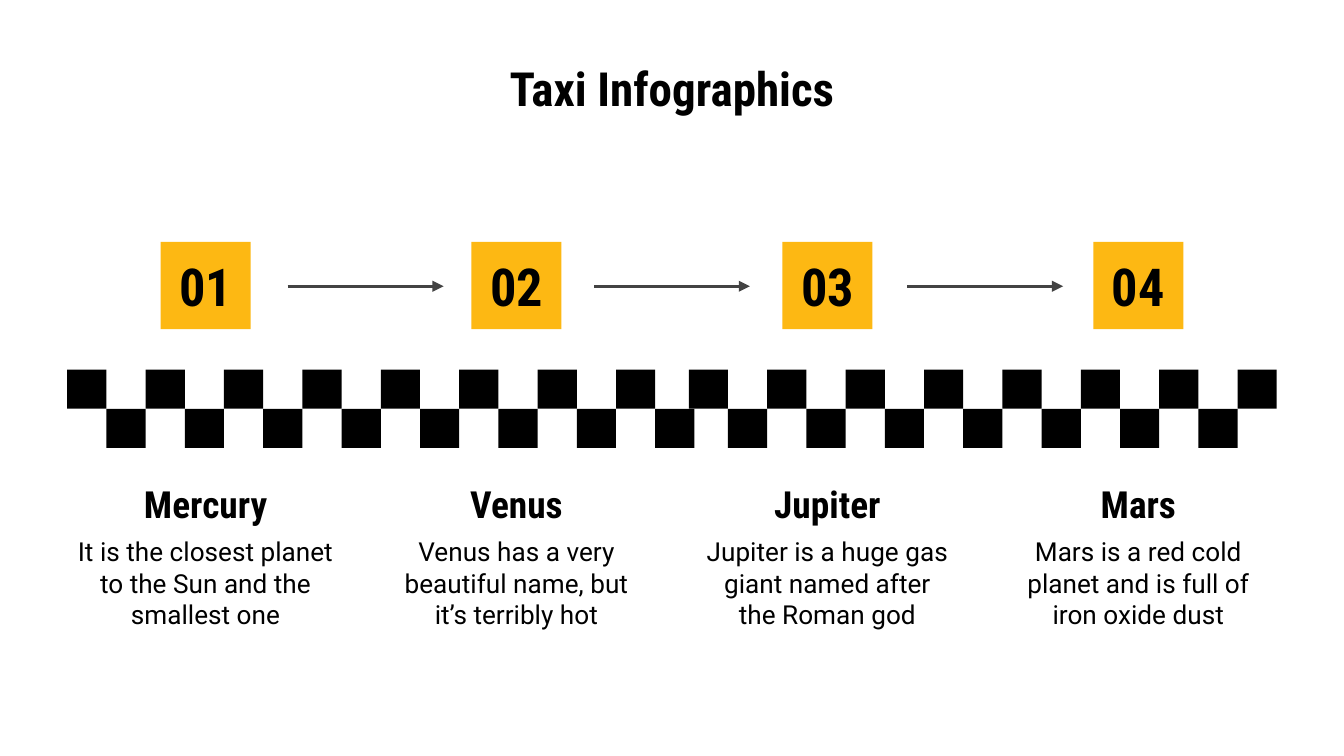
from dataclasses import dataclass

from lxml.etree import SubElement
from pptx import Presentation
from pptx.dml.color import RGBColor
from pptx.enum.shapes import MSO_CONNECTOR, MSO_SHAPE
from pptx.enum.text import MSO_ANCHOR, MSO_AUTO_SIZE, PP_ALIGN
from pptx.oxml.ns import qn
from pptx.util import Inches, Pt


@dataclass(frozen=True)
class Theme:
    black: RGBColor = RGBColor(0x00, 0x00, 0x00)
    taxi_yellow: RGBColor = RGBColor(0xFD, 0xB8, 0x13)
    arrow_gray: RGBColor = RGBColor(0x43, 0x43, 0x43)
    heading_font: str = "Roboto Condensed"
    body_font: str = "Roboto"
    title_size: float = 25.2
    number_size: float = 28
    name_size: float = 20
    body_size: float = 14
    arrow_width: float = 1.5


THEME = Theme()

SLIDE_WIDTH = 10
SLIDE_HEIGHT = SLIDE_WIDTH * 9 / 16
MARGIN = 0.5

PLANETS = [
    ("Mercury", "It is the closest planet to the Sun and the smallest one", 2.14),
    ("Venus", "Venus has a very beautiful name, but it’s terribly hot", 2),
    ("Jupiter", "Jupiter is a huge gas giant named after the Roman god", 2),
    ("Mars", "Mars is a red cold planet and is full of iron oxide dust", 2),
]
FIRST_CENTER = 1.53
LAST_CENTER = 8.47
STEP_PITCH = (LAST_CENTER - FIRST_CENTER) / (len(PLANETS) - 1)

CHECKER_TOP = 2.75
TILE = 7 / 24
CHECKER_RUNS = [(MARGIN, 16), (SLIDE_WIDTH - MARGIN - 15 * TILE, 15)]

ARROW_STARTS = [2.14, 4.42, 6.75]
ARROW_LENGTH = 1.16
ARROW_Y = 2.13


def write_text(shape, text, size, font=THEME.heading_font, bold=True):
    frame = shape.text_frame
    frame.text = text
    frame.word_wrap = True
    frame.auto_size = MSO_AUTO_SIZE.NONE
    frame.vertical_anchor = MSO_ANCHOR.MIDDLE
    frame.margin_left = frame.margin_right = Inches(0.1)
    frame.margin_top = frame.margin_bottom = Inches(0.1)
    paragraph = frame.paragraphs[0]
    paragraph.alignment = PP_ALIGN.CENTER
    for run in paragraph.runs:
        run.font.name = font
        run.font.size = Pt(size)
        run.font.bold = bold
        run.font.color.rgb = THEME.black


def add_title(slide, text):
    title = slide.shapes.title
    title.left, title.top = Inches(MARGIN), Inches(0.45)
    title.width, title.height = Inches(SLIDE_WIDTH - 2 * MARGIN), Inches(0.41)
    write_text(title, text, THEME.title_size)


def add_rectangle(shapes, left, top, width, height, color):
    rectangle = shapes.add_shape(
        MSO_SHAPE.RECTANGLE, Inches(left), Inches(top), Inches(width), Inches(height)
    )
    rectangle.shadow.inherit = False
    rectangle.fill.solid()
    rectangle.fill.fore_color.rgb = color
    rectangle.line.fill.background()
    return rectangle


def add_centered_text(shapes, center, top, width, height, text, size, **style):
    box = shapes.add_textbox(
        Inches(center - width / 2), Inches(top), Inches(width), Inches(height)
    )
    write_text(box, text, size, **style)


def add_checker_band(slide):
    band = slide.shapes.add_group_shape()
    for start, count in CHECKER_RUNS:
        for column in range(count):
            left = start + column * TILE
            top = CHECKER_TOP + column % 2 * TILE
            add_rectangle(band.shapes, left, top, TILE, TILE, THEME.black)


def add_step(slide, index, name, description, description_width):
    center = FIRST_CENTER + index * STEP_PITCH
    step = slide.shapes.add_group_shape()
    add_centered_text(step.shapes, center, 3.57, 1.81, 0.36, name, THEME.name_size)
    add_centered_text(
        step.shapes, center, 3.95, description_width, 0.77, description,
        THEME.body_size, font=THEME.body_font, bold=False,
    )
    badge = add_rectangle(
        step.shapes, center - 0.67 / 2, 1.8, 0.67, 0.65, THEME.taxi_yellow
    )
    write_text(badge, f"{index + 1:02}", THEME.number_size)


def add_arrow(shapes, start):
    arrow = shapes.add_connector(
        MSO_CONNECTOR.STRAIGHT,
        Inches(start), Inches(ARROW_Y), Inches(start + ARROW_LENGTH), Inches(ARROW_Y),
    )
    arrow.line.color.rgb = THEME.arrow_gray
    arrow.line.width = Pt(THEME.arrow_width)
    SubElement(arrow.line._get_or_add_ln(), qn("a:tailEnd"), type="triangle")
    SubElement(arrow._element.spPr, qn("a:effectLst"))


def main():
    presentation = Presentation()
    presentation.slide_width = Inches(SLIDE_WIDTH)
    presentation.slide_height = Inches(SLIDE_HEIGHT)
    slide = presentation.slides.add_slide(presentation.slide_layouts[5])

    add_title(slide, "Taxi Infographics")
    add_checker_band(slide)
    for index, (name, description, description_width) in enumerate(PLANETS):
        add_step(slide, index, name, description, description_width)
    arrows = slide.shapes.add_group_shape()
    for start in ARROW_STARTS:
        add_arrow(arrows.shapes, start)

    presentation.save("out.pptx")


if __name__ == "__main__":
    main()
